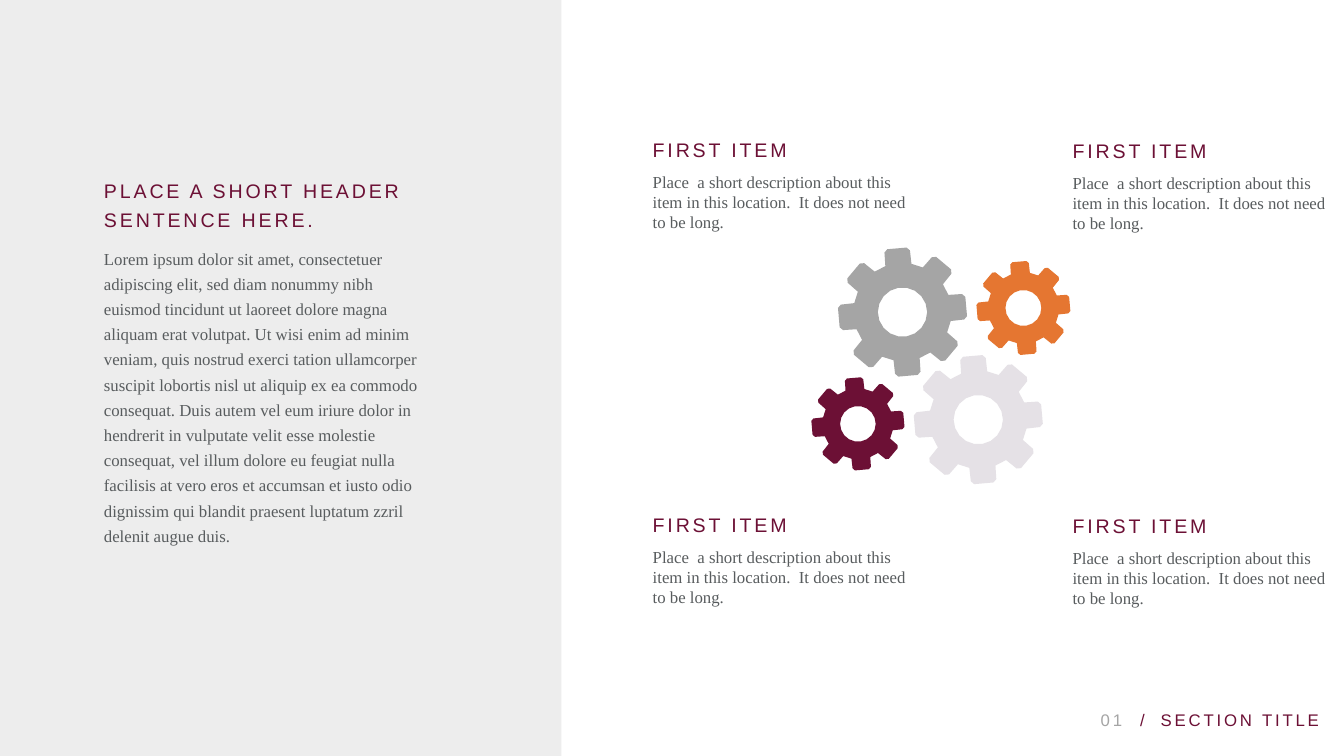
from dataclasses import dataclass
from math import cos, pi, radians, sin, sqrt

from pptx import Presentation
from pptx.dml.color import RGBColor as Rgb
from pptx.enum.shapes import MSO_SHAPE as Shape
from pptx.enum.text import MSO_ANCHOR as Anchor, MSO_AUTO_SIZE as Fit, PP_ALIGN as Align
from pptx.util import Cm, Pt


@dataclass(frozen=True)
class Theme:
    """Colours, fonts and type sizes of the slide."""
    wine: str = "6C1035"
    orange: str = "E57631"
    grey: str = "A5A5A5"
    lilac: str = "E5E1E6"
    panel: str = "EDEDED"
    ink: str = "585C5E"
    sans: str = "Arial"
    serif: str = "Times New Roman"
    head: int = 14
    body: int = 12


THEME = Theme()
HEADER = "PLACE A SHORT HEADER SENTENCE HERE."
LOREM = (
    "Lorem ipsum dolor sit amet, consectetuer adipiscing elit, sed diam nonummy nibh "
    "euismod tincidunt ut laoreet dolore magna aliquam erat volutpat. Ut wisi enim ad minim "
    "veniam, quis nostrud exerci tation ullamcorper suscipit lobortis nisl ut aliquip ex ea "
    "commodo consequat. Duis autem vel eum iriure dolor in hendrerit in vulputate velit esse "
    "molestie consequat, vel illum dolore eu feugiat nulla facilisis at vero eros et accumsan "
    "et iusto odio dignissim qui blandit praesent luptatum zzril delenit augue duis."
)
ITEM = "FIRST ITEM"
NOTE = ("Place  a short description about this item in this location.  "
        "It does not need to be long.")


def place(shape, box):
    """Move a shape to a box of left, top, width and height in centimetres."""
    shape.left, shape.top, shape.width, shape.height = map(Cm, box)


def write(shape, text, size, color, font, lead=None, track=0,
          align=Align.LEFT, anchor=Anchor.TOP):
    """Fill a text shape with one styled paragraph."""
    frame = shape.text_frame
    frame.word_wrap = True
    frame.auto_size = Fit.NONE
    frame.vertical_anchor = anchor
    frame.margin_left = frame.margin_right = Cm(0.13)
    frame.margin_top = frame.margin_bottom = Cm(0.13)
    para = frame.paragraphs[0]
    para.text = text
    para.alignment = align
    para.line_spacing = lead
    para.font.name = font
    para.font.size = Pt(size)
    para.font.color.rgb = Rgb.from_string(color)
    if track:
        para.font._element.set("spc", str(track * 100))


def label(shapes, box, *args, **style):
    """Add a text box holding one styled paragraph."""
    area = shapes.add_textbox(*map(Cm, box))
    write(area, *args, **style)


def paint(shape, color):
    """Give a shape a flat fill without line or shadow."""
    shape.shadow.inherit = False
    shape.fill.solid()
    shape.fill.fore_color.rgb = Rgb.from_string(color)
    shape.line.fill.background()


def intro(slide, box):
    """Draw the grey panel with the title and the long text."""
    left, top = box[:2]
    panel = slide.shapes.add_shape(Shape.RECTANGLE, *map(Cm, box))
    paint(panel, THEME.panel)
    title = slide.shapes.title
    title.element.addprevious(panel.element)
    place(title, (left + 2.49, top + 4.23, 10.87, 1.75))
    write(title, HEADER, THEME.head, THEME.wine, THEME.sans, lead=Pt(21), track=2)
    label(slide.shapes, (left + 2.49, top + 6, 8.18, 9.25),
          LOREM, THEME.body, THEME.ink, THEME.serif, lead=Pt(18))


def outline(teeth=8, tilt=-5, tip=0.495, root=0.378, half=0.101, bend=0.04):
    """Return the rim points of a gear of diameter one around the origin."""
    turns = [radians(20), radians(70)]
    right = [(half - bend + bend * sin(a), tip - bend + bend * cos(a)) for a in turns]
    right.append((half, sqrt(root ** 2 - half ** 2)))
    tooth = [(-x, y) for x, y in reversed(right)] + right
    angles = [radians(tilt) + 2 * pi * i / teeth for i in range(teeth)]
    return [(x * cos(a) + y * sin(a), x * sin(a) - y * cos(a))
            for a in angles for x, y in tooth]


def gear(shapes, box, color):
    """Draw a gear with a round hole in a square box."""
    left, top, size, _ = box

    def spot(x, y):
        """Turn a point of the unit gear into slide lengths."""
        return Cm(left + size * (0.5 + x)), Cm(top + size * (0.5 + y))

    rim = [spot(x, y) for x, y in outline()]
    hole = [spot(0.19 * cos(a), -0.19 * sin(a))
            for a in (2 * pi * i / 18 for i in range(18))]
    pen = shapes.build_freeform(*rim[0])
    pen.add_line_segments(rim[1:], close=True)
    pen.move_to(*hole[0])
    pen.add_line_segments(hole[1:], close=True)
    shape = pen.convert_to_shape()
    paint(shape, color)
    return shape


def gears(slide, box):
    """Draw the four interlocking gears as a group."""
    left, top = box[:2]
    parts = [
        (0.02, 3.27, 2.36, THEME.wine),
        (4.18, 0.34, 2.38, THEME.orange),
        (0.69, 0, 3.27, THEME.grey),
        (2.6, 2.71, 3.27, THEME.lilac),
    ]
    wheels = [gear(slide.shapes, (left + x, top + y, size, size), color)
              for x, y, size, color in parts]
    slide.shapes.add_group_shape(wheels)


def item(slide, box):
    """Write one item heading with its description."""
    left, top, width, _ = box
    label(slide.shapes, (left, top, width, 0.86),
          ITEM, THEME.head, THEME.wine, THEME.sans, track=2)
    label(slide.shapes, (left, top + 0.85, 6.96, 1.8),
          NOTE, THEME.body, THEME.ink, THEME.serif)


def items(slide, box):
    """Lay the items out in two columns and two rows."""
    left, top, width, height = box
    for col in range(2):
        for row in range(2):
            item(slide, (left + col * width / 2, top + row * height / 2 + col * 0.02,
                         9.25, 2.65))


def footer(slide, box):
    """Write the page number, the slash and the section title as a group."""
    left, top, _, height = box
    group = slide.shapes.add_group_shape()
    parts = [
        (12.8, 8.74, "SECTION TITLE", THEME.wine, Align.LEFT),
        (0, 12.09, "01", THEME.grey, Align.RIGHT),
        (11.97, 0.69, "/", THEME.wine, Align.RIGHT),
    ]
    for x, width, text, color, align in parts:
        label(group.shapes, (left + x, top, width, height), text, THEME.body, color,
              THEME.sans, lead=0.9, track=2, align=align, anchor=Anchor.BOTTOM)


def main():
    """Build the slide and save it."""
    deck = Presentation()
    deck.slide_width, deck.slide_height = Cm(33.87), Cm(19.05)
    slide = deck.slides.add_slide(deck.slide_layouts[5])
    intro(slide, (0, 0, 14.15, 19.1))
    gears(slide, (20.42, 6.23, 6.57, 5.98))
    footer(slide, (16.32, 17.39, 21.54, 1.14))
    items(slide, (16.32, 3.35, 21.16, 18.9))
    deck.save("out.pptx")


if __name__ == "__main__":
    main()
